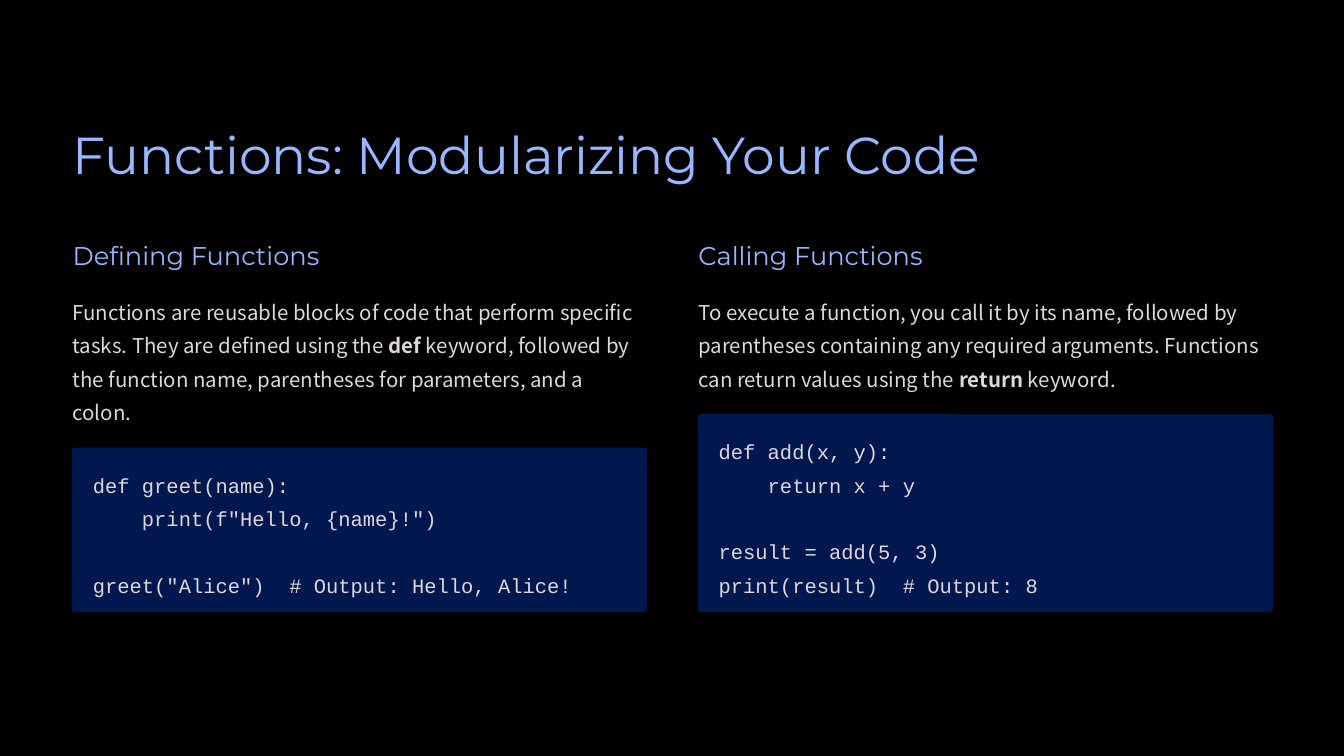
from dataclasses import dataclass

from pptx import Presentation
from pptx.dml.color import RGBColor
from pptx.enum.shapes import MSO_SHAPE
from pptx.enum.text import MSO_ANCHOR, MSO_AUTO_SIZE, PP_ALIGN
from pptx.util import Cm, Pt


@dataclass(frozen=True)
class TextStyle:
    font: str
    size: float
    line_spacing: float
    color: str


@dataclass(frozen=True)
class Theme:
    background: str = "000000"
    panel: str = "00184D"
    title: TextStyle = TextStyle("Montserrat", 37.1, 46.2, "97B8FF")
    heading: TextStyle = TextStyle("Montserrat", 18.3, 22.9, "97B8FF")
    body: TextStyle = TextStyle("Noto Sans CJK TC", 14.6, 23.8, "E0D6DE")
    code: TextStyle = TextStyle("Courier New", 14.6, 23.8, "E0D6DE")


THEME = Theme()
LEFT = 1.83
COLUMN_STEP = 15.77
COLUMN_WIDTH = 14.46
HEADING_TOP = 6
BODY_TOP = 7.34
LINE_HEIGHT = 0.84
PANEL_GAP = 0.58
PANEL_BOTTOM = 15.42
PANEL_OUTSET = 0.02
PANEL_RADIUS = 0.08
CODE_INDENT = 0.51
CODE_PADDING = 0.41

COLUMNS = [
    {
        "heading": "Defining Functions",
        "body": [
            ("Functions are reusable blocks of code that perform specific tasks. "
             "They are defined using the ", False),
            ("def", True),
            (" keyword, followed by the function name, parentheses for parameters, "
             "and a colon.", False),
        ],
        "body_lines": 4,
        "code": [
            ["def greet(name):", '    print(f"Hello, {name}!")'],
            ['greet("Alice")  # Output: Hello, Alice!'],
        ],
    },
    {
        "heading": "Calling Functions",
        "body": [
            ("To execute a function, you call it by its name, followed by parentheses "
             "containing any required arguments. Functions can return values using the ", False),
            ("return", True),
            (" keyword.", False),
        ],
        "body_lines": 3,
        "code": [
            ["def add(x, y):", "    return x + y"],
            ["result = add(5, 3)", "print(result)  # Output: 8"],
        ],
    },
]


def set_attributes(target, values):
    for name, value in values.items():
        setattr(target, name, value)


def format_frame(frame, wrap):
    set_attributes(frame, {
        "margin_left": 0, "margin_top": 0, "margin_right": 0, "margin_bottom": 0,
        "auto_size": MSO_AUTO_SIZE.NONE,
        "vertical_anchor": MSO_ANCHOR.TOP,
        "word_wrap": wrap,
    })


def write_paragraph(paragraph, runs, style, space_before=0):
    set_attributes(paragraph, {
        "alignment": PP_ALIGN.LEFT,
        "line_spacing": Pt(style.line_spacing),
        "space_before": Pt(space_before),
    })
    for text, bold in runs:
        run = paragraph.add_run()
        run.text = text
        set_attributes(run.font, {"name": style.font, "size": Pt(style.size), "bold": bold})
        run.font.color.rgb = RGBColor.from_string(style.color)


def add_title(slide, text):
    title = slide.shapes.title
    set_attributes(title, {
        "left": Cm(LEFT), "top": Cm(3.02), "width": Cm(23.32), "height": Cm(1.65),
    })
    format_frame(title.text_frame, wrap=False)
    write_paragraph(title.text_frame.paragraphs[0], [(text, False)], THEME.title)


def add_text(slide, left, top, width, height, wrap=True):
    box = slide.shapes.add_textbox(Cm(left), Cm(top), Cm(width), Cm(height))
    format_frame(box.text_frame, wrap)
    return box.text_frame


def add_code_panel(slide, left, top, blocks):
    height = PANEL_BOTTOM - top
    panel = slide.shapes.add_shape(
        MSO_SHAPE.ROUNDED_RECTANGLE, Cm(left - PANEL_OUTSET), Cm(top),
        Cm(COLUMN_WIDTH + 2 * PANEL_OUTSET), Cm(height))
    panel.adjustments[0] = PANEL_RADIUS / height
    panel.shadow.inherit = False
    panel.fill.solid()
    panel.fill.fore_color.rgb = RGBColor.from_string(THEME.panel)
    panel.line.fill.background()

    frame = add_text(slide, left + CODE_INDENT, top + CODE_PADDING,
                     COLUMN_WIDTH - 2 * CODE_INDENT, height - 2 * CODE_PADDING)
    paragraph = frame.paragraphs[0]
    for block_index, block in enumerate(blocks):
        for line_index, line in enumerate(block):
            starts_new_block = block_index > 0 and line_index == 0
            if block_index or line_index:
                paragraph = frame.add_paragraph()
            gap = THEME.code.line_spacing if starts_new_block else 0
            write_paragraph(paragraph, [(line, False)], THEME.code, gap)


def add_column(slide, left, column):
    heading = add_text(slide, left, HEADING_TOP, 6.55, 0.81, wrap=False)
    write_paragraph(heading.paragraphs[0], [(column["heading"], False)], THEME.heading)
    body_height = column["body_lines"] * LINE_HEIGHT
    body = add_text(slide, left, BODY_TOP, COLUMN_WIDTH, body_height)
    write_paragraph(body.paragraphs[0], column["body"], THEME.body)
    add_code_panel(slide, left, BODY_TOP + body_height + PANEL_GAP, column["code"])


def main():
    presentation = Presentation()
    set_attributes(presentation, {"slide_width": Cm(33.87), "slide_height": Cm(19.05)})
    slide = presentation.slides.add_slide(presentation.slide_layouts.get_by_name("Title Only"))
    slide.background.fill.solid()
    slide.background.fill.fore_color.rgb = RGBColor.from_string(THEME.background)
    add_title(slide, "Functions: Modularizing Your Code")
    for index, column in enumerate(COLUMNS):
        add_column(slide, LEFT + index * COLUMN_STEP, column)
    presentation.save("out.pptx")


if __name__ == "__main__":
    main()
